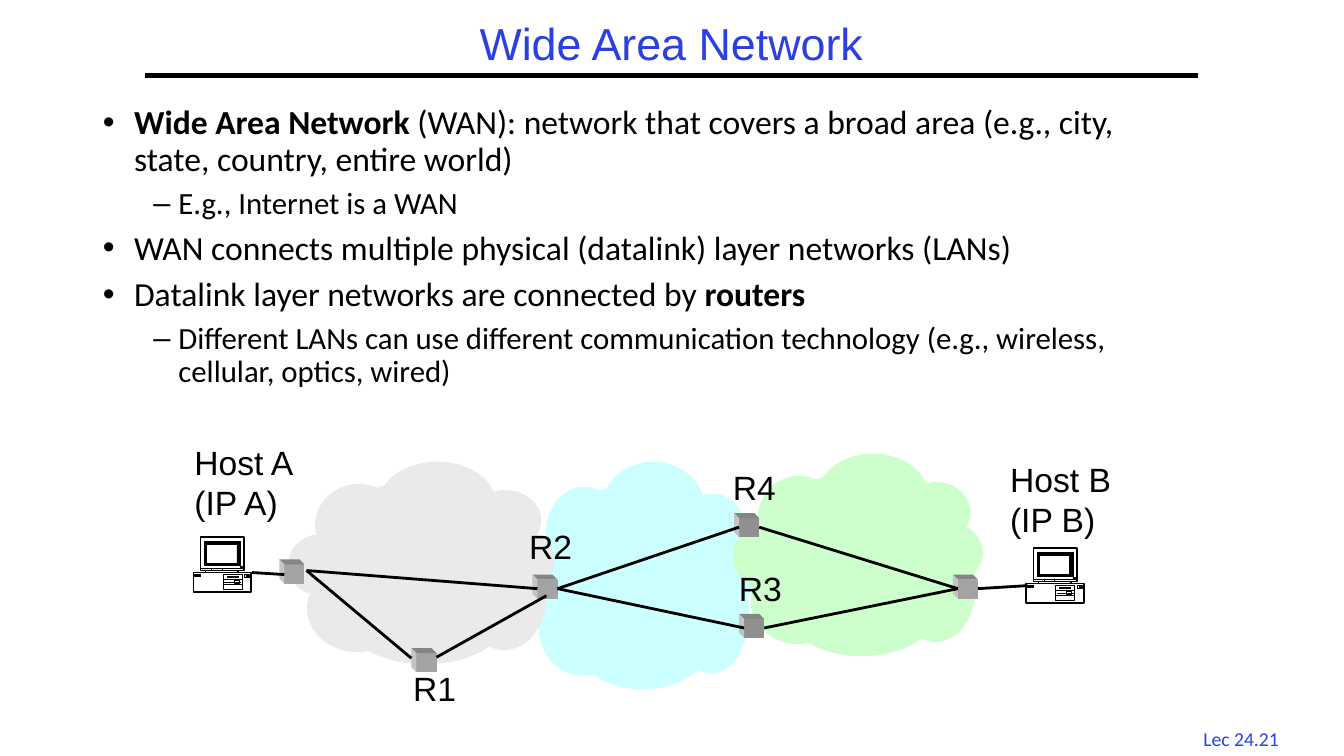
import pptx
import pptx.util
import pptx.dml.color
import pptx.enum.shapes
import pptx.enum.text
import pptx.oxml
import pptx.oxml.ns
from lxml import etree

Inches, Pt = pptx.util.Inches, pptx.util.Pt
COLORS = {
    "black": "000000", "white": "FFFFFF", "blue": "2A40E2",
    "gray cloud": "EAEAEA", "cyan cloud": "CCFFFF", "green cloud": "CCFFCC",
    "light router": "A3A3A3", "dark router": "909090",
    "router top": "858585", "router side": "C4C4C4",
}
# Ellipses of a cloud as fractions of its box: left, top, width, height
CLOUD_PUFFS = [
    (0.34, 0, 0.44, 0.41), (0.1, 0.11, 0.33, 0.41), (0, 0.36, 0.23, 0.3),
    (0.07, 0.51, 0.38, 0.43), (0.22, 0.57, 0.59, 0.43), (0.68, 0.14, 0.27, 0.3),
    (0.68, 0.33, 0.32, 0.32), (0.65, 0.4, 0.32, 0.53), (0.07, 0.09, 0.89, 0.89),
]
CLOUDS = [
    ("cyan cloud", 5.18, 4.58, 2.32, 2.26),
    ("gray cloud", 2.86, 4.58, 2.64, 2.01),
    ("green cloud", 7.27, 4.5, 2.48, 2.01),
]
ROUTERS = [
    ("light router", 2.82, 5.6), ("light router", 5.33, 5.75), ("light router", 9.5, 5.75),
    ("dark router", 7.38, 6.14), ("dark router", 7.33, 5.14), ("light router", 4.13, 6.48),
]
LINKS = [
    (3.04, 5.66, 5.33, 5.84), (2.5, 5.68, 2.82, 5.7), (9.7, 5.84, 10.19, 5.81),
    (7.58, 6.23, 9.5, 5.84), (5.53, 5.84, 7.38, 6.23), (5.53, 5.84, 7.33, 5.23),
    (7.53, 5.23, 9.5, 5.84), (3.04, 5.66, 4.08, 6.53), (4.33, 6.52, 5.42, 5.91),
]
LABELS = [
    ("Host A\n(IP A)", 1.83, 4.33, 1.2, 0.91), ("Host B\n(IP B)", 9.92, 4.5, 1.3, 0.91),
    ("R1", 4, 6.58, 0.63, 0.51), ("R2", 5.15, 5.17, 0.63, 0.51),
    ("R3", 7.23, 5.58, 0.63, 0.51), ("R4", 7.17, 4.58, 0.63, 0.51),
]
# Each bullet: level, then (text, bold) runs
BULLETS = [
    (0, [("Wide Area Network", True),
         (" (WAN): network that covers a broad area (e.g., city, state, country, entire world)", False)]),
    (1, [("E.g., Internet is a WAN", False)]),
    (0, [("WAN connects multiple physical (datalink) layer networks (LANs)", False)]),
    (0, [("Datalink layer networks are connected by ", False), ("routers", True)]),
    (1, [("Different LANs can use different communication technology "
          "(e.g., wireless, cellular, optics, wired)", False)]),
]
# Bullet character, indent, hanging, text size
LEVELS = [("•", 0.31, 0.31, 24), ("–", 0.75, 0.25, 22)]


def rgb(name):
    return pptx.dml.color.RGBColor.from_string(COLORS[name])


def format_font(font, size, name, color="black"):
    font.size = Pt(size)
    font.name = name
    font.color.rgb = rgb(color)


def paint(shape, fill=None, line_width=0):
    shape.shadow.inherit = False
    if fill:
        shape.fill.solid()
        shape.fill.fore_color.rgb = rgb(fill)
    else:
        shape.fill.background()
    if line_width:
        shape.line.color.rgb = rgb("black")
        shape.line.width = Pt(line_width)
    else:
        shape.line.fill.background()


def add_line(shapes, x1, y1, x2, y2, width):
    line = shapes.add_connector(pptx.enum.shapes.MSO_CONNECTOR.STRAIGHT,
                                Inches(x1), Inches(y1), Inches(x2), Inches(y2))
    line.line.color.rgb = rgb("black")
    line.line.width = Pt(width)
    etree.SubElement(line._element.spPr, pptx.oxml.ns.qn("a:effectLst"))


def add_outline(shapes, left, top, contours, fill, line_width=0):
    """Draw closed contours, given in inches from (left, top), as one shape."""
    builder = None
    for contour in contours:
        points = [(Inches(left + x), Inches(top + y)) for x, y in contour]
        if builder is None:
            builder = shapes.build_freeform(*points[0], scale=1.0)
        else:
            builder.move_to(*points[0])
        builder.add_line_segments(points[1:], close=True)
    paint(builder.convert_to_shape(), fill, line_width)


def corners(left, top, right, bottom):
    return [(left, top), (right, top), (right, bottom), (left, bottom)]


def add_cloud(slide, color, left, top, width, height):
    shapes = slide.shapes.add_group_shape().shapes
    for x, y, w, h in CLOUD_PUFFS:
        paint(shapes.add_shape(pptx.enum.shapes.MSO_SHAPE.OVAL,
                               Inches(left + x * width), Inches(top + y * height),
                               Inches(w * width), Inches(h * height)), color)


def add_router(slide, color, left, top, width=0.2, height=0.19, depth=0.05):
    """Draw a cube whose front face starts at (left, top)."""
    shapes = slide.shapes.add_group_shape().shapes
    back = (-depth, -depth)
    add_outline(shapes, left, top, [corners(0, 0, width, height)], color)
    add_outline(shapes, left, top,
                [[(0, 0), back, (width - depth, -depth), (width, 0)]], "router top")
    add_outline(shapes, left, top,
                [[(0, 0), back, (-depth, height - depth), (0, height)]], "router side")


def add_computer(slide, left, top):
    shapes = slide.shapes.add_group_shape().shapes
    silhouette = [(0.12, 0.35), (0, 0.35), (0, 0.54), (0.57, 0.54), (0.57, 0.35), (0.44, 0.35),
                  (0.44, 0.33), (0.5, 0.33), (0.5, 0), (0.07, 0), (0.07, 0.33), (0.12, 0.33)]
    drives = [(0.29, 0.37, 0.48, 0.52), (0.5, 0.37, 0.52, 0.4)]
    screen_and_buttons = [
        (0.11, 0.04, 0.46, 0.28), (0.13, 0.07, 0.43, 0.26), (0.46, 0.29, 0.48, 0.3),
        (0.01, 0.37, 0.07, 0.39), (0.33, 0.39, 0.44, 0.4),
        (0.53, 0.37, 0.55, 0.38), (0.53, 0.39, 0.55, 0.4)]
    seams = [(0.12, 0.35, 0.44, 0.35, 1.25), (0.12, 0.33, 0.44, 0.33, 1.25),
             (0.29, 0.42, 0.48, 0.42, 0.38), (0.29, 0.47, 0.48, 0.47, 0.38),
             (0.3, 0.45, 0.47, 0.45, 0.38), (0.07, 0.31, 0.5, 0.31, 0.38),
             (0.18, 0.33, 0.18, 0.31, 0.38), (0.28, 0.33, 0.28, 0.31, 0.38)]
    add_outline(shapes, left, top, [silhouette], "white", 1.25)
    add_outline(shapes, left, top, [corners(*drive) for drive in drives], "white", 0.38)
    add_outline(shapes, left, top, [corners(*part) for part in screen_and_buttons], "black", 0.38)
    for x1, y1, x2, y2, width in seams:
        add_line(shapes, left + x1, top + y1, left + x2, top + y2, width)
    paint(shapes.add_shape(pptx.enum.shapes.MSO_SHAPE.RECTANGLE, Inches(left + 0.4),
                           Inches(top + 0.43), Inches(0.05), Inches(0.03)), None, 0.38)


def add_label(slide, text, left, top, width, height, size=24, font="Arial", color="black"):
    frame = slide.shapes.add_textbox(Inches(left), Inches(top), Inches(width), Inches(height)).text_frame
    frame.word_wrap = False
    frame.text = text
    for paragraph in frame.paragraphs:
        format_font(paragraph.runs[0].font, size, font, color)
    return frame


def place(shape, left, top, width, height):
    shape.left, shape.top = Inches(left), Inches(top)
    shape.width, shape.height = Inches(width), Inches(height)
    shape.text_frame.auto_size = pptx.enum.text.MSO_AUTO_SIZE.NONE


def fill_title(slide, left, top, width, height):
    title = slide.shapes.title
    place(title, left, top, width, height)
    title.text_frame.text = "Wide Area Network"
    title.text_frame.vertical_anchor = pptx.enum.text.MSO_ANCHOR.MIDDLE
    paragraph = title.text_frame.paragraphs[0]
    paragraph.alignment = pptx.enum.text.PP_ALIGN.CENTER
    paragraph.line_spacing = 0.9
    format_font(paragraph.runs[0].font, 32, "Arial", "blue")
    add_line(slide.shapes, left, top + height, left + width, top + height, 3)


def fill_bullets(slide, left, top, width, height):
    body = slide.placeholders[1]
    place(body, left, top, width, height)
    for index, (level, runs) in enumerate(BULLETS):
        frame = body.text_frame
        paragraph = frame.add_paragraph() if index else frame.paragraphs[0]
        mark, indent, hanging, size = LEVELS[level]
        paragraph.level = level
        paragraph.line_spacing = 0.9
        paragraph.space_before = Pt(0.3 * size if index else 0)
        properties = paragraph._p.get_or_add_pPr()
        properties.set("marL", str(Inches(indent)))
        properties.set("indent", str(-Inches(hanging)))
        etree.SubElement(properties, pptx.oxml.ns.qn("a:buChar")).set("char", mark)
        for text, bold in runs:
            run = paragraph.add_run()
            run.text = text
            format_font(run.font, size, "Calibri")
            run.font.bold = bold


def add_network(slide):
    for cloud in CLOUDS:
        add_cloud(slide, *cloud)
    for router in ROUTERS:
        add_router(slide, *router)
    add_computer(slide, 1.92, 5.33)
    add_computer(slide, 10.18, 5.44)
    for link in LINKS:
        add_line(slide.shapes, *link, 2)
    for label in LABELS:
        add_label(slide, *label)


def main():
    presentation = pptx.Presentation()
    presentation.slide_width, presentation.slide_height = Inches(13.33), Inches(7.5)
    slide = presentation.slides.add_slide(presentation.slide_layouts[1])
    fill_title(slide, 1.44, 0.17, 10.44, 0.58)
    fill_bullets(slide, 0.92, 1, 10.67, 3.17)
    add_network(slide)
    footer = add_label(slide, "Lec 24.21", 11.77, 7.16, 1.08, 0.33, 14, "Calibri", "blue")
    footer.paragraphs[0].alignment = pptx.enum.text.PP_ALIGN.CENTER
    presentation.save("out.pptx")


if __name__ == "__main__":
    main()
